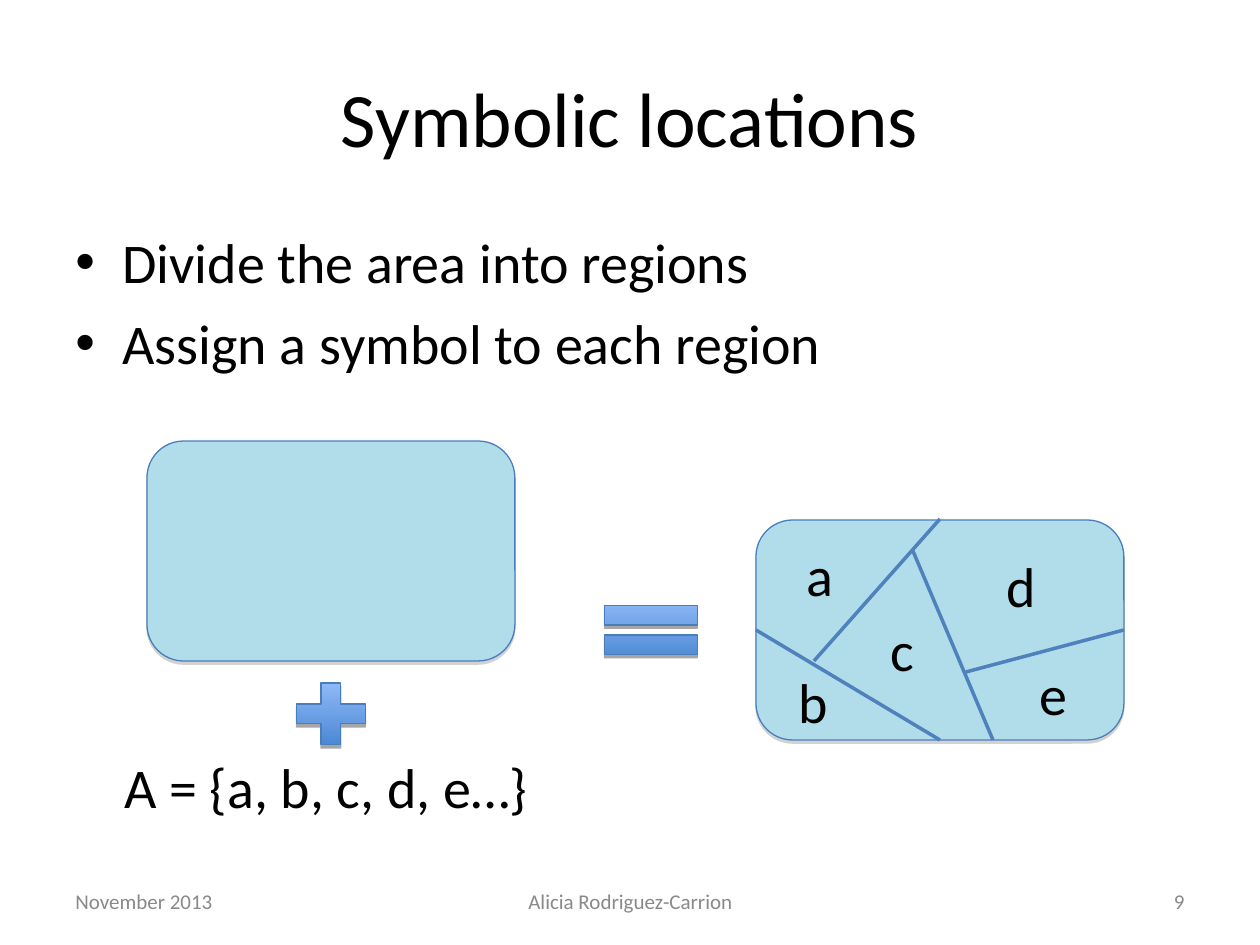
from lxml import etree
from pptx import Presentation
from pptx.dml.color import RGBColor
from pptx.enum.shapes import MSO_CONNECTOR as Connector, MSO_SHAPE as Shape
from pptx.enum.text import MSO_ANCHOR as Anchor, PP_ALIGN as Align
from pptx.oxml.ns import qn
from pptx.util import Emu, Pt

SCALE = 914400 // 126  # EMU per px
COLORS = {
    "text": "000000", "footer": "898989", "area": "B1DDEB", "outline": "4A7EBB",
    "border": "4F81BD", "sign_top": "9BC1FF", "sign_bottom": "3F80CD",
    "area_shadow": "808080", "sign_shadow": "000000",
}
AREA_SIZE = (368, 220)
SYMBOLS = {"a": (794, 534), "b": (786, 661), "c": (878, 609),
           "d": (994, 545), "e": (1027, 653)}
BORDERS = [(756, 630, 940, 740), (814, 661, 940, 519),
           (913, 551, 993, 740), (966, 672, 1124, 630)]


def px(*values):
    return [Emu(value * SCALE) for value in values]


def color(name):
    return RGBColor.from_string(COLORS[name])


def add_text(page, text, left, top, width, height, size=32, ink="text",
             align=Align.LEFT, anchor=Anchor.TOP, bullet=False):
    """Add a text box with one paragraph per line of text."""
    box = page.shapes.add_textbox(*px(left, top, width, height))
    frame = box.text_frame
    frame.word_wrap = True
    frame.vertical_anchor = anchor
    for index, line in enumerate(text.split("\n")):
        para = frame.add_paragraph() if index else frame.paragraphs[0]
        para.alignment = align
        if index:
            para.space_before = Pt(8)
        if bullet:
            add_bullet(para)
        span = para.add_run()
        span.text = line
        span.font.name = "Calibri"
        span.font.size = Pt(size)
        span.font.color.rgb = color(ink)


def add_bullet(para):
    props = para._p.get_or_add_pPr()
    indent = 47 * SCALE
    props.set("marL", str(indent))
    props.set("indent", str(-indent))
    etree.SubElement(props, qn("a:buFont")).set("typeface", "Arial")
    etree.SubElement(props, qn("a:buChar")).set("char", "•")


def add_shadow(shape, name):
    """Give the shape a sharp shadow just below it."""
    shape.shadow.inherit = False
    effects = shape._element.spPr.find(qn("a:effectLst"))
    shadow = etree.SubElement(effects, qn("a:outerShdw"), blurRad="0",
                              dist=str(Pt(1.8)), dir="5400000", rotWithShape="0")
    tint = etree.SubElement(shadow, qn("a:srgbClr"), val=COLORS[name])
    etree.SubElement(tint, qn("a:alpha"), val="35000")


def add_outlined(page, kind, left, top, width, height, shadow):
    shape = page.shapes.add_shape(kind, *px(left, top, width, height))
    shape.line.color.rgb = color("outline")
    shape.line.width = Pt(0.75)
    add_shadow(shape, shadow)
    return shape


def add_area(page, left, top):
    area = add_outlined(page, Shape.ROUNDED_RECTANGLE, left, top, *AREA_SIZE,
                        shadow="area_shadow")
    area.fill.solid()
    area.fill.fore_color.rgb = color("area")


def add_sign(page, kind, left, top, width, height):
    sign = add_outlined(page, kind, left, top, width, height, shadow="sign_shadow")
    sign.fill.gradient()
    sign.fill.gradient_angle = 270
    for stop, position, name in zip(sign.fill.gradient_stops, (0, 1),
                                    ("sign_top", "sign_bottom")):
        stop.position = position
        stop.color.rgb = color(name)


def add_border(page, *ends):
    border = page.shapes.add_connector(Connector.STRAIGHT, *px(*ends))
    border.line.color.rgb = color("border")
    border.line.width = Pt(2)
    etree.SubElement(border._element.spPr, qn("a:effectLst"))


def main():
    deck = Presentation()
    deck.slide_width, deck.slide_height = px(1260, 945)
    page = deck.slides.add_slide(deck.slide_layouts[6])

    # Title and bullets
    add_text(page, "Symbolic locations", 63, 38, 1134, 157, size=44,
             align=Align.CENTER, anchor=Anchor.MIDDLE)
    add_text(page, "Divide the area into regions\nAssign a symbol to each region",
             63, 221, 1134, 624, bullet=True)

    # Whole area plus alphabet
    add_area(page, 147, 441)
    add_sign(page, Shape.MATH_PLUS, 284, 672, 94, 84)
    add_text(page, "A = {a, b, c, d, e…}", 112, 746, 440, 81)
    add_sign(page, Shape.MATH_EQUAL, 588, 588, 126, 84)

    # Area divided into labelled regions
    add_area(page, 756, 520)
    for symbol, (left, top) in SYMBOLS.items():
        add_text(page, symbol, left, top, 53, 81)
    for ends in BORDERS:
        add_border(page, *ends)

    # Footer
    for text, left, width, align in (
            ("November 2013", 63, 294, Align.LEFT),
            ("Alicia Rodriguez-Carrion", 431, 399, Align.CENTER),
            ("9", 903, 294, Align.RIGHT)):
        add_text(page, text, left, 876, width, 50, size=12, ink="footer",
                 align=align, anchor=Anchor.MIDDLE)

    deck.save("out.pptx")


if __name__ == "__main__":
    main()
